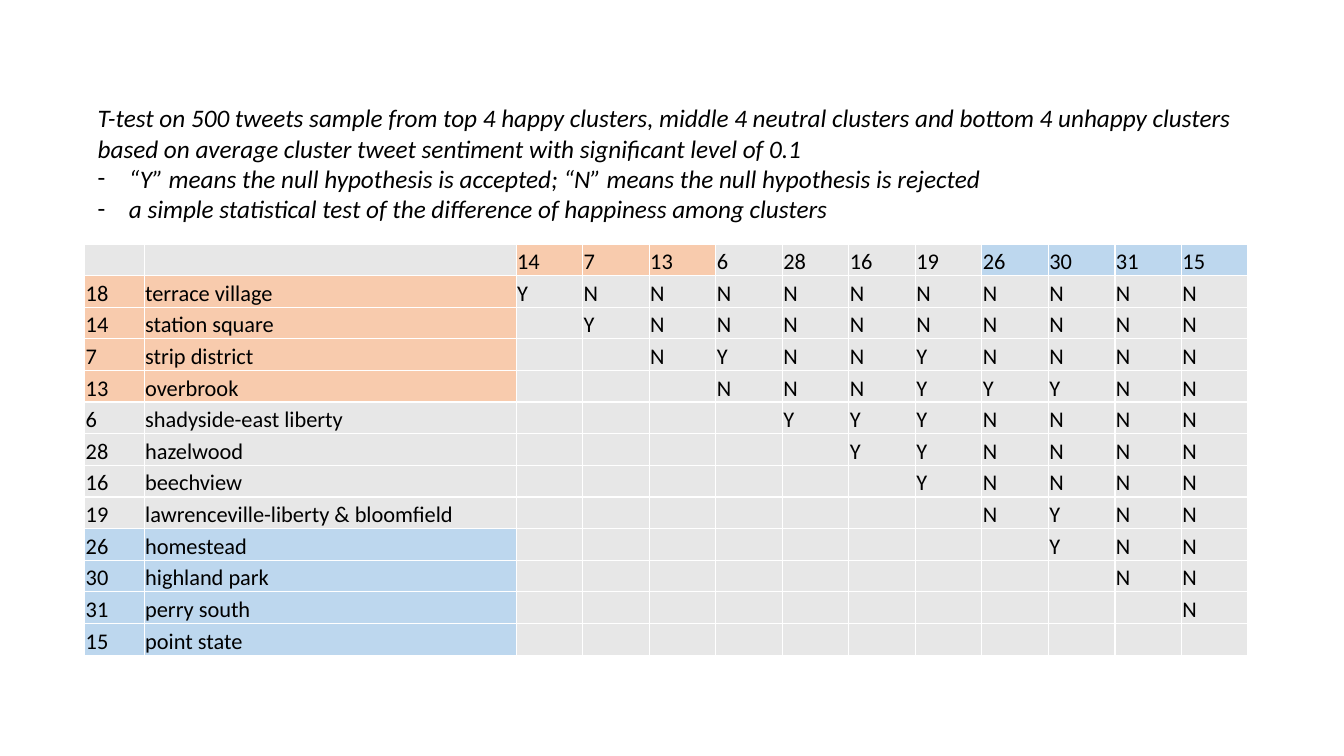
from dataclasses import dataclass

from lxml import etree
from pptx import Presentation
from pptx.dml.color import RGBColor
from pptx.enum.text import MSO_ANCHOR, MSO_AUTO_SIZE
from pptx.oxml.ns import qn
from pptx.slide import Slide
from pptx.table import _Cell
from pptx.text.text import _Paragraph
from pptx.util import Inches, Pt

BOTTOM = MSO_ANCHOR.BOTTOM
GROW_TO_FIT = MSO_AUTO_SIZE.SHAPE_TO_FIT_TEXT

FONT = "Calibri"
BLACK, WHITE = "000000", "FFFFFF"
HAPPY, NEUTRAL, UNHAPPY = "F8CBAD", "E7E7E7", "BDD7EE"
TABLE_TEXT_SIZE = 16
ROW_HEIGHT = 4.08 / 13


@dataclass
class Cluster:
    number: str
    name: str
    fill: str
    verdicts: str  # one letter for each later cluster


@dataclass
class IntroLine:
    text: str
    bulleted: bool


CLUSTERS = [
    Cluster("18", "terrace village", HAPPY, "YNNNNNNNNNN"),
    Cluster("14", "station square", HAPPY, "YNNNNNNNNN"),
    Cluster("7", "strip district", HAPPY, "NYNNYNNNN"),
    Cluster("13", "overbrook", HAPPY, "NNNYYYNN"),
    Cluster("6", "shadyside-east liberty", NEUTRAL, "YYYNNNN"),
    Cluster("28", "hazelwood", NEUTRAL, "YYNNNN"),
    Cluster("16", "beechview", NEUTRAL, "YNNNN"),
    Cluster("19", "lawrenceville-liberty & bloomfield", NEUTRAL, "NYNN"),
    Cluster("26", "homestead", UNHAPPY, "YNN"),
    Cluster("30", "highland park", UNHAPPY, "NN"),
    Cluster("31", "perry south", UNHAPPY, "N"),
    Cluster("15", "point state", UNHAPPY, ""),
]

INTRO = [
    IntroLine("T-test on 500 tweets sample from top 4 happy clusters, middle 4 neutral "
              "clusters and bottom 4 unhappy clusters based on average cluster tweet "
              "sentiment with significant level of 0.1", False),
    IntroLine("“Y” means the null hypothesis is accepted; “N” means the null hypothesis "
              "is rejected", True),
    IntroLine("a simple statistical test of the difference of happiness among clusters",
              True),
]


def color(value: str) -> RGBColor:
    return RGBColor.from_string(value)


def add_run(paragraph: _Paragraph, text: str, size: float, italic: bool = False) -> None:
    run = paragraph.add_run()
    run.text = text
    run.font.name = FONT
    run.font.size = Pt(size)
    run.font.italic = italic
    run.font.color.rgb = color(BLACK)


def add_dash(paragraph: _Paragraph) -> None:
    properties = paragraph._p.get_or_add_pPr()
    properties.set("marL", str(Inches(0.31)))
    properties.set("indent", str(-Inches(0.31)))
    etree.SubElement(properties, qn("a:buFont"), typeface=FONT)
    etree.SubElement(properties, qn("a:buChar"), char="-")


def add_borders(cell: _Cell) -> None:
    properties = cell._tc.get_or_add_tcPr()
    for position, side in enumerate(("a:lnL", "a:lnR", "a:lnT", "a:lnB")):
        line = etree.Element(qn(side), w=str(Pt(1)))
        solid = etree.SubElement(line, qn("a:solidFill"))
        etree.SubElement(solid, qn("a:srgbClr"), val=WHITE)
        properties.insert(position, line)


def fill_cell(cell: _Cell, text: str, fill: str) -> None:
    cell.margin_left = cell.margin_right = cell.margin_top = Inches(0.01)
    cell.margin_bottom = 0
    cell.vertical_anchor = BOTTOM
    cell.fill.solid()
    cell.fill.fore_color.rgb = color(fill)
    add_borders(cell)
    paragraph = cell.text_frame.paragraphs[0]
    if text:
        add_run(paragraph, text, TABLE_TEXT_SIZE)
    else:
        # Keep empty cells from stretching the row
        etree.SubElement(paragraph._p, qn("a:endParaRPr"), sz=str(TABLE_TEXT_SIZE * 100))


def add_verdict_table(slide: Slide) -> None:
    compared = CLUSTERS[1:]
    widths = [0.59, 3.69] + [0.66] * len(compared)
    rows = [[("", NEUTRAL)] * 2 + [(cluster.number, cluster.fill) for cluster in compared]]
    for cluster in CLUSTERS:
        verdicts = cluster.verdicts.rjust(len(compared))
        rows.append([(cluster.number, cluster.fill), (cluster.name, cluster.fill)]
                    + [(verdict.strip(), NEUTRAL) for verdict in verdicts])

    table = slide.shapes.add_table(
        len(rows), len(widths), Inches(0.84), Inches(2.42),
        Inches(sum(widths)), Inches(ROW_HEIGHT * len(rows))).table
    for column, width in zip(table.columns, widths):
        column.width = Inches(width)
    for row, contents in zip(table.rows, rows):
        row.height = Inches(ROW_HEIGHT)
        for cell, (text, fill) in zip(row.cells, contents):
            fill_cell(cell, text, fill)


def add_intro(slide: Slide) -> None:
    box = slide.shapes.add_textbox(Inches(0.87), Inches(0.97), Inches(11.51), Inches(1.31))
    frame = box.text_frame
    frame.word_wrap = True
    frame.auto_size = GROW_TO_FIT
    for index, line in enumerate(INTRO):
        paragraph = frame.add_paragraph() if index else frame.paragraphs[0]
        if line.bulleted:
            add_dash(paragraph)
        add_run(paragraph, line.text, 18, italic=True)


def main() -> None:
    presentation = Presentation()
    presentation.slide_width = Inches(13.33)
    presentation.slide_height = Inches(7.5)
    slide = presentation.slides.add_slide(presentation.slide_layouts[6])

    # Comparison table, then the explanation above it
    add_verdict_table(slide)
    add_intro(slide)

    presentation.save("out.pptx")


if __name__ == "__main__":
    main()
